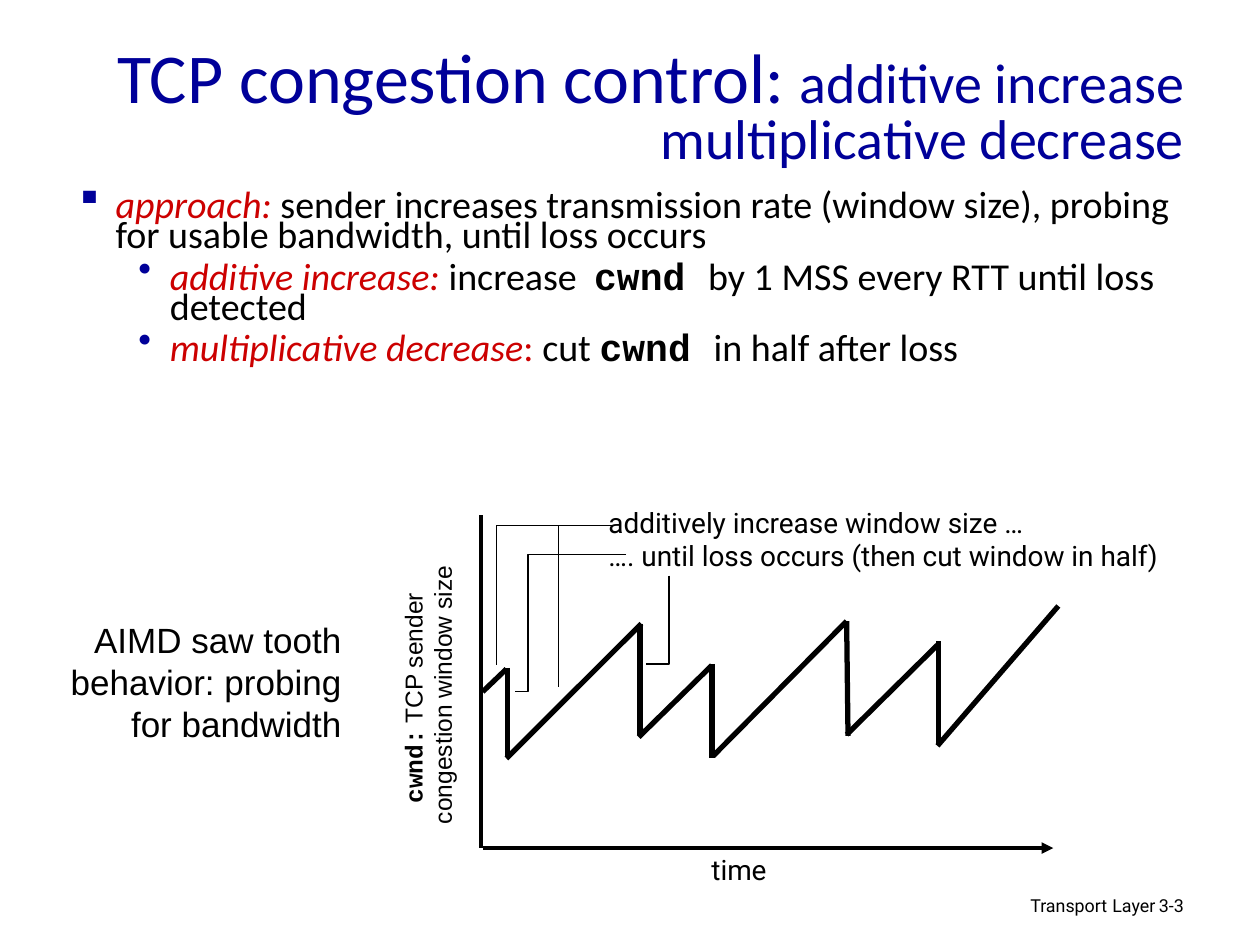
from lxml import etree
from pptx import Presentation
from pptx.dml.color import RGBColor
from pptx.enum.shapes import MSO_CONNECTOR as Conn
from pptx.enum.text import MSO_ANCHOR as Anchor, MSO_AUTO_SIZE as Fit, PP_ALIGN as Al
from pptx.oxml.ns import qn
from pptx.util import Pt

rgb = RGBColor.from_string
BLACK, BLUE, RED = "000000", "000099", "CC0000"

deck = Presentation()
deck.slide_width, deck.slide_height = Pt(720), Pt(540)
slide = deck.slides.add_slide(deck.slide_layouts[6])
shapes = slide.shapes


def text(spot, paras, base, form={}, wrap=True):
    """Add a text box; each paragraph is a list of (words, changes to the base font)."""
    box = shapes.add_textbox(*map(Pt, spot))
    frame = box.text_frame
    frame.word_wrap = wrap
    frame.auto_size = Fit.NONE if wrap else Fit.SHAPE_TO_FIT_TEXT
    for i, runs in enumerate(paras):
        para = frame.paragraphs[0] if i == 0 else frame.add_paragraph()
        for key, val in form.items():
            setattr(para, key, val)
        for words, change in runs:
            run = para.add_run()
            run.text = words
            look = {"color": BLACK, **base, **change}
            run.font.color.rgb = rgb(look.pop("color"))
            for key, val in look.items():
                setattr(run.font, key, val)
    return box


def line(x1, y1, x2, y2, width):
    wire = shapes.add_connector(Conn.STRAIGHT, Pt(x1), Pt(y1), Pt(x2), Pt(y2))
    wire.line.color.rgb = rgb(BLACK)
    wire.line.width = Pt(width)
    etree.SubElement(wire._element.spPr, qn("a:effectLst"))
    return wire


# Footer
foot = {"name": "Roboto", "size": Pt(10.2)}
text((439.2, 507.6, 228.2, 22.3),
     [[("Transport", {}), (" ", {"size": Pt(11.9)}), ("Layer", {})]],
     foot, {"alignment": Al.RIGHT, "line_spacing": 0.9})
text((655.2, 509, 53.3, 21.6), [[("3-3", {})]], foot, {"line_spacing": 0.9})

# Title
title = text((18, 18, 666, 90),
             [[("TCP congestion control: ", {}),
               ("additive increase multiplicative decrease", {"size": Pt(32)})]],
             {"name": "Calibri", "size": Pt(40), "color": BLUE},
             {"alignment": Al.RIGHT, "line_spacing": 0.8})
title.text_frame.vertical_anchor = Anchor.MIDDLE

# Bullets
term = {"color": RED, "italic": True}
code = {"name": "Courier New", "bold": True}
body = text((36, 108, 659.5, 113.8), [
    [("approach: ", term),
     ("sender increases transmission rate (window size), probing for usable "
      "bandwidth, until loss occurs", {})],
    [("additive increase:", term), (" increase  ", {}), ("cwnd ", code),
     ("by 1 MSS every RTT until loss detected", {})],
    [("multiplicative decrease", term), (":", {"color": RED}), (" cut ", {}),
     ("cwnd ", code), ("in half after loss", {})],
], {"name": "Calibri", "size": Pt(21.7)}, {"line_spacing": 0.65, "space_before": Pt(7)})
marks = [("▪", 0, 23, 23), ("•", 1, 54, 18), ("•", 1, 54, 18)]
for para, (mark, level, left, hang) in zip(body.text_frame.paragraphs, marks):
    para.level = level
    props = para._p.get_or_add_pPr()
    props.set("marL", str(Pt(left)))
    props.set("indent", str(-Pt(hang)))
    tint = etree.SubElement(props, qn("a:buClr"))
    etree.SubElement(tint, qn("a:srgbClr"), val=BLUE)
    etree.SubElement(props, qn("a:buChar"), char=mark)

# Side labels
label = text((163.4, 376.6, 162, 41),
             [[("cwnd:", code), (" TCP sender ", {})], [("congestion window size", {})]],
             {"name": "Arial", "size": Pt(14)}, {"alignment": Al.CENTER}, False)
label.rotation = 270
label.fill.solid()
label.fill.fore_color.rgb = rgb("FFFFFF")
text((33.1, 349.9, 169.2, 79.2),
     [[(words, {})] for words in ("AIMD saw tooth", "behavior: probing", "for bandwidth")],
     {"name": "Arial", "size": Pt(20)}, {"alignment": Al.RIGHT}, False)

# Axes
axis = line(275.8, 484.6, 601.9, 484.6, 2.25)
etree.SubElement(axis.line._get_or_add_ln(), qn("a:tailEnd"), type="triangle")
line(275, 294.5, 275, 484.6, 2.25)

# Saw tooth
teeth = [
    (275.8, 395.3, 289.4, 382.3), (290.2, 381.6, 290.2, 432),
    (289.4, 433.4, 366.5, 356.4), (365.8, 356.4, 365.8, 419.8),
    (365, 421.2, 406.8, 380.2), (406.8, 379.4, 406.8, 433.4),
    (407.5, 432, 483.8, 355), (483.8, 355, 484.6, 420.5),
    (483.8, 419.8, 536.4, 367.9), (536.4, 366.5, 536.4, 425.5),
    (535.7, 426.2, 604.8, 346.3),
]
for tooth in teeth:
    line(*tooth, 3)

# Notes on the curve and their leader lines
note = {"name": "Roboto", "size": Pt(16)}
text((340.6, 285.1, 344.2, 46.1),
     [[("additively increase window size …", {})],
      [("…. until loss occurs (then cut window in half)", {})]], note, wrap=False)
leads = [
    [(351.4, 300.2), (283.7, 300.2), (283.7, 380.2)],
    [(357.8, 316.8), (301.7, 316.8), (301.7, 395.3), (294.5, 395.3)],
    [(351.4, 300.2), (319, 300.2), (319, 392.4)],
    [(382.3, 329), (382.3, 379.4), (369.4, 379.4)],
]
for lead in leads:
    first, *rest = [(Pt(x), Pt(y)) for x, y in lead]
    pen = shapes.build_freeform(*first)
    pen.add_line_segments(rest, close=False)
    path = pen.convert_to_shape()
    path.shadow.inherit = False
    path.fill.background()
    path.line.color.rgb = rgb(BLACK)
    path.line.width = Pt(0.75)
text((398.2, 483.8, 48.2, 26.6), [[("time", {})]], note, {"alignment": Al.CENTER}, False)

deck.save("out.pptx")
